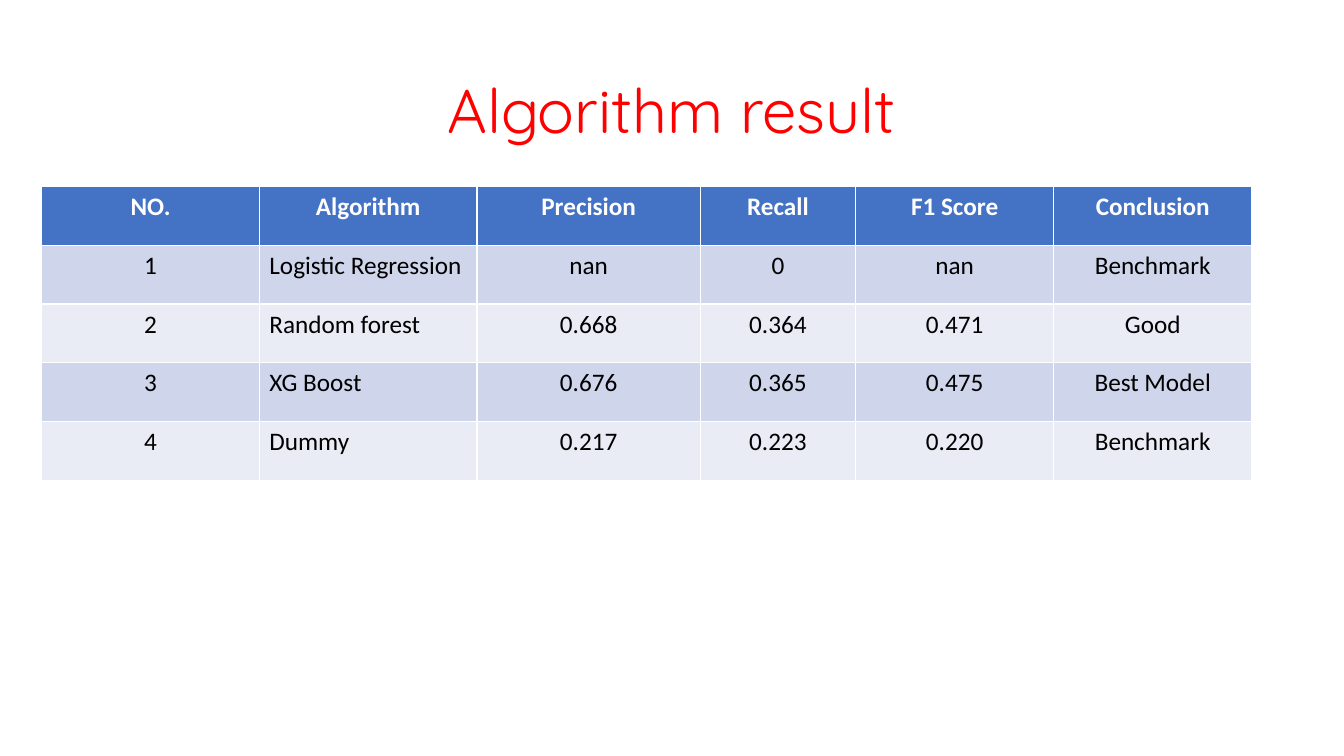
import pptx
import pptx.dml.color
import pptx.enum.text
import pptx.util

Pt = pptx.util.Pt
RGBColor = pptx.dml.color.RGBColor
ALIGN = pptx.enum.text.PP_ALIGN

RED = RGBColor(0xFF, 0x00, 0x00)
WHITE = RGBColor(0xFF, 0xFF, 0xFF)
BLACK = RGBColor(0x00, 0x00, 0x00)
HEADER_BLUE = RGBColor(0x44, 0x72, 0xC4)
BANDS = (RGBColor(0xE9, 0xEB, 0xF5), RGBColor(0xCF, 0xD5, 0xEA))

COLUMN_WIDTHS = (155.5, 155.5, 159.5, 111, 141.5, 141.5)
ROW_HEIGHT = 42
ALGORITHM_COLUMN = 1
RESULTS = (
    ("NO.", "Algorithm", "Precision", "Recall", "F1 Score", "Conclusion"),
    ("1", "Logistic Regression", "nan", "0", "nan", "Benchmark"),
    ("2", "Random forest", "0.668", "0.364", "0.471", "Good"),
    ("3", "XG Boost", "0.676", "0.365", "0.475", "Best Model"),
    ("4", "Dummy", "0.217", "0.223", "0.220", "Benchmark"),
)


def style_paragraph(p, font, size, color, align, bold=False):
    p.alignment = align
    p.font.name = font
    p.font.size = Pt(size)
    p.font.color.rgb = color
    p.font.bold = bold


def add_title(slide, text):
    sp = slide.shapes.add_textbox(Pt(66), Pt(28.75), Pt(828), Pt(104.4))
    tf = sp.text_frame
    tf.word_wrap = True
    tf.vertical_anchor = pptx.enum.text.MSO_ANCHOR.MIDDLE
    p = tf.paragraphs[0]
    p.text = text
    p.line_spacing = 0.9
    style_paragraph(p, "Quicksand", 44, RED, ALIGN.CENTER)


def fill_cell(cell, text, fill, color, align, bold):
    cell.fill.solid()
    cell.fill.fore_color.rgb = fill
    cell.text = text
    style_paragraph(cell.text_frame.paragraphs[0], "Calibri", 18, color, align, bold)


def add_results_table(slide):
    """Add the results; the default table style supplies the white borders."""
    frame = slide.shapes.add_table(
        len(RESULTS), len(COLUMN_WIDTHS), Pt(29.75), Pt(133.2),
        Pt(sum(COLUMN_WIDTHS)), Pt(ROW_HEIGHT * len(RESULTS)))
    table = frame.table
    for column, width in zip(table.columns, COLUMN_WIDTHS):
        column.width = Pt(width)
    for i, row in enumerate(RESULTS):
        table.rows[i].height = Pt(ROW_HEIGHT)
        header = i == 0
        fill = HEADER_BLUE if header else BANDS[i % 2]
        color = WHITE if header else BLACK
        for j, text in enumerate(row):
            left = j == ALGORITHM_COLUMN and not header
            align = ALIGN.LEFT if left else ALIGN.CENTER
            fill_cell(table.cell(i, j), text, fill, color, align, header)


def main():
    prs = pptx.Presentation()
    prs.slide_width, prs.slide_height = Pt(960), Pt(540)
    slide = prs.slides.add_slide(prs.slide_layouts[6])
    add_title(slide, "Algorithm result")
    add_results_table(slide)
    prs.save("out.pptx")


if __name__ == "__main__":
    main()
